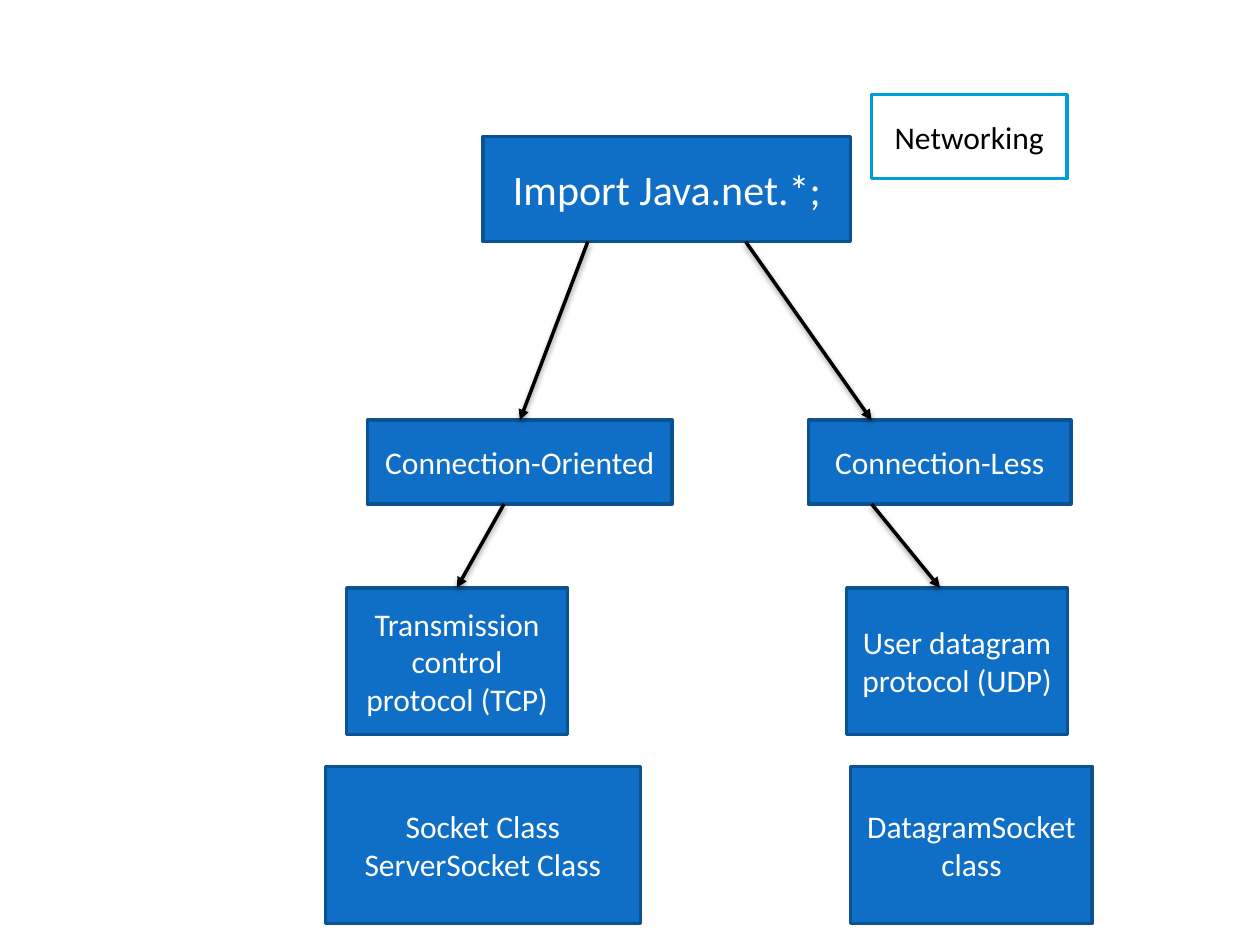
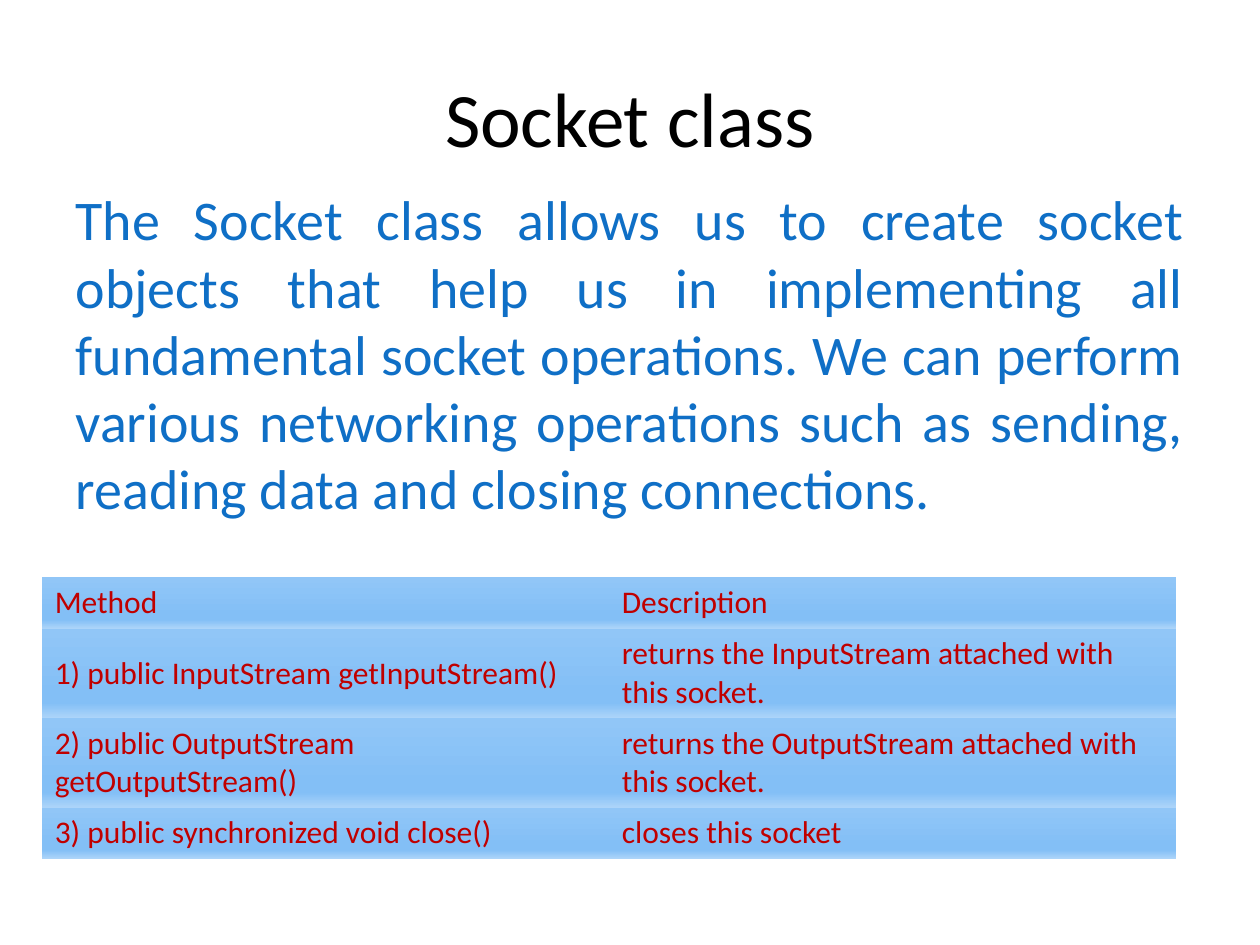
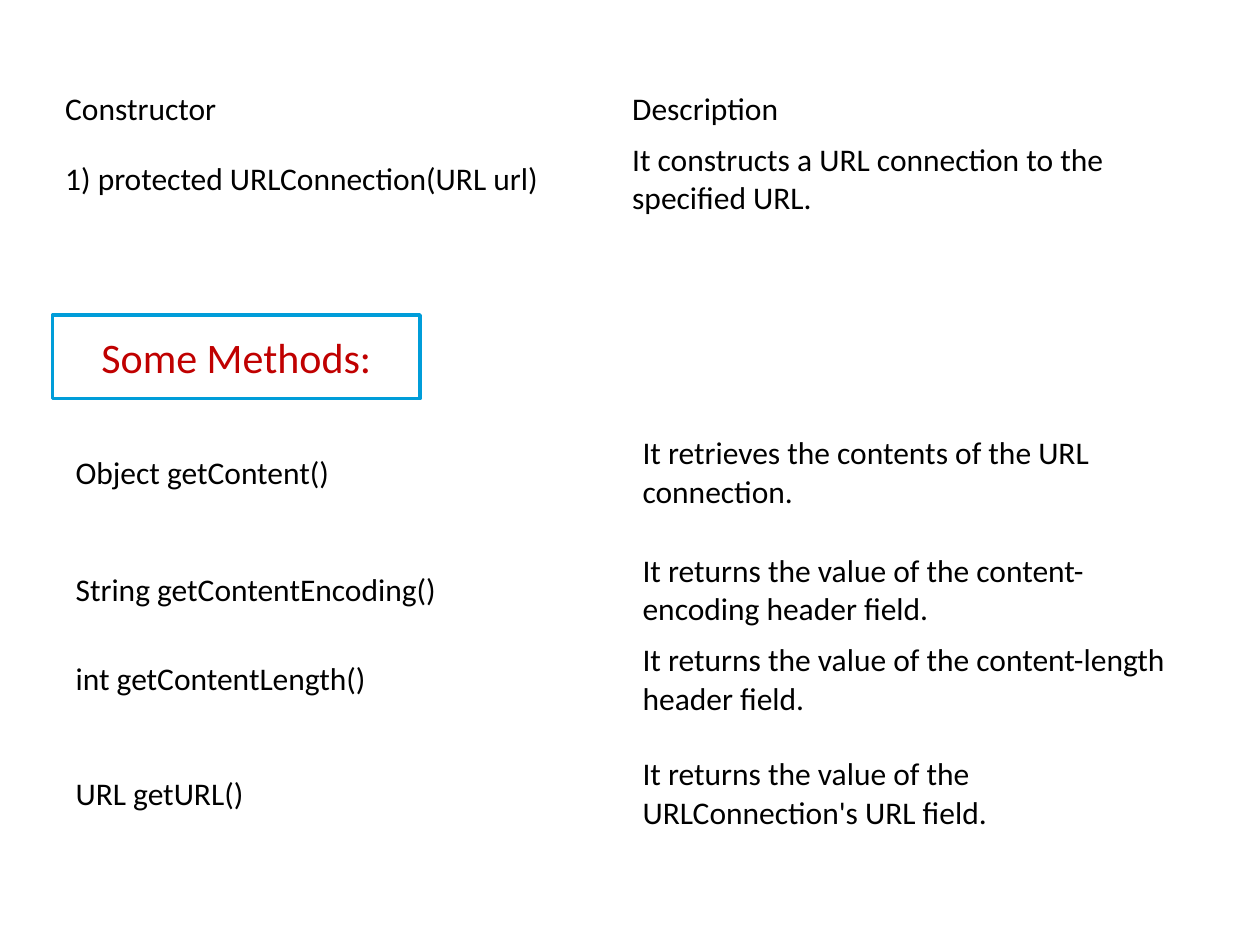
"""Build three slides on Java networking: protocol tree, Socket class, URLConnection."""
import dataclasses

import lxml.etree
import pptx
import pptx.dml.color
import pptx.enum.shapes
import pptx.enum.text
import pptx.oxml
import pptx.oxml.ns
import pptx.util

Cm = pptx.util.Cm
qn = pptx.oxml.ns.qn
Align = pptx.enum.text.PP_ALIGN


@dataclasses.dataclass(frozen=True)
class Theme:
    font: str = "Calibri"
    blue: str = "0F6FC6"
    dark_blue: str = "0B5292"
    cyan: str = "009DD9"
    red: str = "C00000"
    black: str = "000000"
    white: str = "FFFFFF"
    row_gradient: tuple = ((0, "91C6F7"), (74, "83BFF6"), (83, "83BFF6"), (100, "ACD4F9"))
    title_size: int = 44
    body_size: int = 32
    heading_size: int = 24
    text_size: int = 18
    line_width: int = 2
    one_line: float = 1.02
    two_lines: float = 1.78
    column: float = 11.43


theme = Theme()
rgb = pptx.dml.color.RGBColor.from_string


def write(frame, text, size=theme.text_size, color=theme.black, align=Align.LEFT):
    frame.text = text
    frame.word_wrap = True
    for paragraph in frame.paragraphs:
        paragraph.alignment = align
        for run in paragraph.runs:
            run.font.name = theme.font
            run.font.size = pptx.util.Pt(size)
            run.font.color.rgb = rgb(color)


deck = pptx.Presentation()
deck.slide_width, deck.slide_height = Cm(25.4), Cm(19.05)
titled, blank = deck.slide_layouts[1], deck.slide_layouts[6]
networking = deck.slides.add_slide(blank)
socket = deck.slides.add_slide(titled)
connection = deck.slides.add_slide(blank)

title, summary = socket.placeholders
title.left, title.top, title.width, title.height = Cm(1.27), Cm(0.76), Cm(22.86), Cm(3.18)
write(title.text_frame, "Socket class", size=theme.title_size, align=Align.CENTER)

summary.left, summary.top, summary.width, summary.height = Cm(1.27), Cm(3.6), Cm(22.86), Cm(13.41)
write(
    summary.text_frame,
    "The Socket class allows us to create socket objects that help us in implementing "
    "all fundamental socket operations. We can perform various networking operations "
    "such as sending, reading data and closing connections.",
    size=theme.body_size, color=theme.blue, align=Align.JUSTIFY,
)
summary_format = summary.text_frame.paragraphs[0]._p.get_or_add_pPr()
summary_format.set("marL", "0")
summary_format.set("indent", "0")
lxml.etree.SubElement(summary_format, qn("a:buNone"))

solid = (theme.blue, theme.dark_blue, theme.white)
outlined = (theme.white, theme.cyan, theme.black)
outlined_red = (theme.white, theme.cyan, theme.red)
boxes = [
    (networking, "Import Java.net.*;", 9.74, 2.75, 7.41, 2.12, theme.heading_size, solid),
    (networking, "Connection-Oriented", 7.41, 8.47, 6.14, 1.69, theme.text_size, solid),
    (networking, "Connection-Less", 16.3, 8.47, 5.29, 1.69, theme.text_size, solid),
    (networking, "Transmission control protocol (TCP)", 6.99, 11.85, 4.45, 2.96, theme.text_size, solid),
    (networking, "User datagram protocol (UDP)", 17.07, 11.85, 4.45, 2.96, theme.text_size, solid),
    (networking, "Socket Class\nServerSocket Class", 6.56, 15.45, 6.35, 3.17, theme.text_size, solid),
    (networking, "DatagramSocket class", 17.15, 15.45, 4.87, 3.17, theme.text_size, solid),
    (networking, "Networking", 17.57, 1.91, 3.94, 1.69, theme.text_size, outlined),
    (connection, "Some Methods:", 1.06, 6.35, 7.41, 1.69, theme.heading_size, outlined_red),
]
for slide, label, left, top, width, height, size, (fill, line, color) in boxes:
    box = slide.shapes.add_shape(
        pptx.enum.shapes.MSO_SHAPE.RECTANGLE, Cm(left), Cm(top), Cm(width), Cm(height)
    )
    box.shadow.inherit = False
    box.fill.solid()
    box.fill.fore_color.rgb = rgb(fill)
    box.line.color.rgb = rgb(line)
    box.line.width = pptx.util.Pt(theme.line_width)
    write(box.text_frame, label, size=size, color=color, align=Align.CENTER)

arrow_shadow = (
    f'<a:effectLst {pptx.oxml.ns.nsdecls("a")}>'
    '<a:outerShdw blurRad="40000" dist="20000" dir="5400000" rotWithShape="0">'
    f'<a:srgbClr val="{theme.black}"><a:alpha val="38000"/></a:srgbClr>'
    "</a:outerShdw></a:effectLst>"
)
arrows = [
    (11.85, 4.87, 10.48, 8.47),
    (15.03, 4.87, 17.57, 8.47),
    (10.16, 10.16, 9.21, 11.85),
    (17.57, 10.16, 18.95, 11.85),
]
for ends in arrows:
    arrow = networking.shapes.add_connector(
        pptx.enum.shapes.MSO_CONNECTOR.STRAIGHT, *(Cm(end) for end in ends)
    )
    arrow.line.color.rgb = rgb(theme.black)
    arrow.line.width = pptx.util.Pt(theme.line_width)
    lxml.etree.SubElement(arrow.line._get_or_add_ln(), qn("a:tailEnd"), type="triangle")
    arrow._element.spPr.append(pptx.oxml.parse_xml(arrow_shadow))

socket_methods = [
    ("Method", "Description", theme.one_line),
    ("1) public InputStream getInputStream()",
     "returns the InputStream attached with this socket.", theme.two_lines),
    ("2) public OutputStream getOutputStream()",
     "returns the OutputStream attached with this socket.", theme.two_lines),
    ("3) public synchronized void close()", "closes this socket", theme.one_line),
]
constructors = [
    ("Constructor", "Description", theme.one_line),
    ("1) protected URLConnection(URL url)",
     "It constructs a URL connection to the specified URL.", theme.two_lines),
]
content_methods = [
    ("Object getContent()", "It retrieves the contents of the URL connection.", theme.two_lines),
]
header_methods = [
    ("String getContentEncoding()",
     "It returns the value of the content-encoding header field.", theme.two_lines),
    ("int getContentLength()",
     "It returns the value of the content-length header field.", theme.two_lines),
]
url_methods = [
    ("URL getURL()", "It returns the value of the URLConnection's URL field.", theme.two_lines),
]
tables = [
    (socket, 0.85, 11.64, socket_methods, theme.red, theme.row_gradient),
    (connection, 1.06, 1.69, constructors, theme.black, None),
    (connection, 1.27, 8.64, content_methods, theme.black, None),
    (connection, 1.27, 11, header_methods, theme.black, None),
    (connection, 1.27, 15.11, url_methods, theme.black, None),
]
for slide, left, top, entries, color, gradient in tables:
    total = sum(height for *_, height in entries)
    table = slide.shapes.add_table(
        len(entries), 2, Cm(left), Cm(top), Cm(2 * theme.column), Cm(total)
    ).table
    table.first_row = table.horz_banding = False
    plain_style = table._tbl.tblPr.find(qn("a:tableStyleId"))
    plain_style.text = "{2D5ABB26-0587-4C30-8999-92F81FD0307C}"
    for row, (*texts, height) in zip(table.rows, entries):
        row.height = Cm(height)
        for cell, text in zip(row.cells, texts):
            write(cell.text_frame, text, color=color)
            cell.vertical_anchor = pptx.enum.text.MSO_ANCHOR.MIDDLE
            if gradient is None:
                cell.fill.background()
                continue
            cell.fill.gradient()
            cell.fill.gradient_angle = 270
            stops = cell._tc.tcPr.find(".//" + qn("a:gsLst"))
            stops.clear()
            for position, shade in gradient:
                stop = lxml.etree.SubElement(stops, qn("a:gs"), pos=str(position * 1000))
                lxml.etree.SubElement(stop, qn("a:srgbClr"), val=shade)

deck.save("out.pptx")
